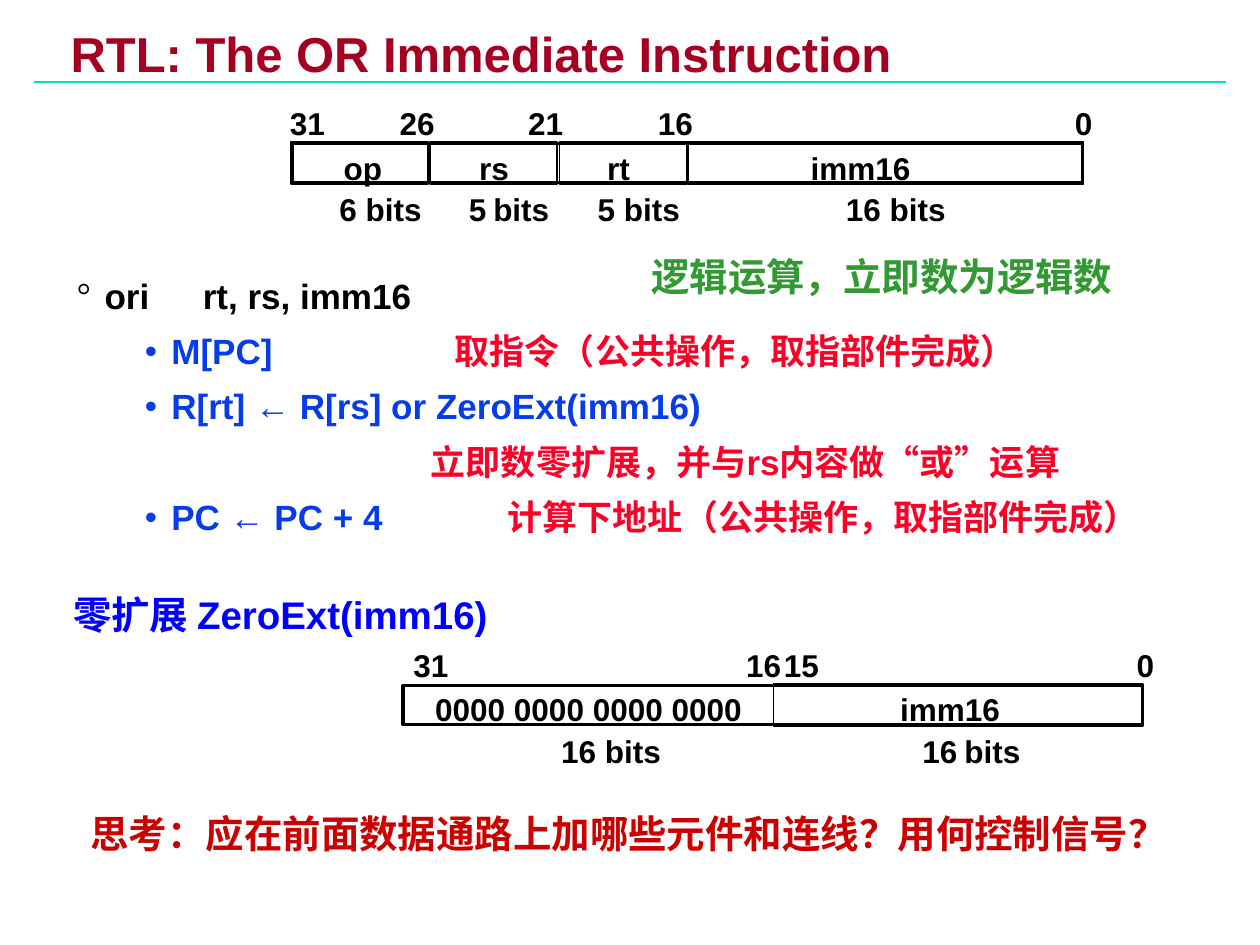
from lxml import etree
from pptx import Presentation
from pptx.dml.color import RGBColor
from pptx.enum import shapes, text
from pptx.oxml.ns import qn
from pptx.util import Inches, Pt

BLACK = RGBColor(0, 0, 0)
CRIMSON = RGBColor(0xA5, 0x00, 0x21)
TEAL = RGBColor(0x00, 0xDF, 0xCA)
BLUE = RGBColor(0x06, 0x3D, 0xE8)
PURE_BLUE = RGBColor(0, 0, 0xFF)
RED = RGBColor(0xFC, 0x01, 0x28)
DARK_RED = RGBColor(0xCC, 0, 0)
GREEN = RGBColor(0x33, 0x99, 0x33)
SANS, SERIF = "Arial", "Times New Roman"

# Content: headings as (text, left, top, width, height, size, font, colour)
TITLE = ("RTL: The OR Immediate Instruction", 0.49, 0.22, 7.35, 0.46, 28, SANS, CRIMSON)
NOTE = ("逻辑运算，立即数为逻辑数", 5.07, 1.96, 4.07, 0.47, 22, SERIF, GREEN)
EXTENSION = ("零扩展 ZeroExt(imm16)", 0.39, 4.64, 3.67, 0.47, 22, SANS, PURE_BLUE)
QUESTION = ("思考：应在前面数据通路上加哪些元件和连线？用何控制信号？",
            0.62, 6.38, 9.38, 0.47, 22, SANS, DARK_RED)

# Steps: bullet, left margin, hanging indent, tab stop, coloured runs
STEPS = [
    ("°", 0.22, 0.22, 1, [("ori\trt, rs, imm16", BLACK)]),
    ("•", 0.75, 0.21, 3, [("M[PC]\t", BLUE), ("取指令（公共操作，取指部件完成）", RED)]),
    ("•", 0.75, 0.21, None, [("R[rt] ← R[rs] or ZeroExt(imm16)", BLUE)]),
    (None, 2.81, 0, None, [("立即数零扩展，并与rs内容做“或”运算", RED)]),
    ("•", 0.75, 0.21, 3.42, [("PC ← PC + 4\t", BLUE),
                             ("计算下地址（公共操作，取指部件完成）", RED)]),
]

# Word layouts: frame, inner cells (left, width), labels (text, centre);
# a "|" in a caption marks a narrow space
INSTRUCTION = {
    "top": 1.14, "frame": (2.32, 6.27),
    "cells": [(2.31, 1.09), (3.41, 1.01), (4.44, 1.01), (5.46, 3.14)],
    "bits": [("31", 2.44), ("26", 3.31), ("21", 4.33), ("16", 5.36), ("0", 8.6)],
    "fields": [("op", 2.88), ("rs", 3.92), ("rt", 4.91), ("imm16", 6.83)],
    "captions": [("6 bits", 3.02), ("5|bits", 4.04), ("5 bits", 5.07), ("16 bits", 7.11)],
}
EXTENDED = {
    "top": 5.44, "frame": (3.2, 5.87),
    "cells": [(6.14, 2.93)],
    "bits": [("31", 3.42), ("16", 6.06), ("15", 6.36), ("0", 9.09)],
    "fields": [("0000 0000 0000 0000", 4.67), ("imm16", 7.54)],
    "captions": [("16 bits", 4.85), ("16|bits", 7.71)],
}
LABEL_ROWS = {"bits": -0.36, "fields": -0.01, "captions": 0.32}
LETTER_WIDTHS = {" ": 0.07, "|": 0.06, "i": 0.07, "t": 0.09, "r": 0.1,
                 "m": 0.22, "b": 0.16, "o": 0.16, "p": 0.16}


def add_span(para, words, size, font, colour, bold=True):
    span = para.add_run()
    span.text = words
    span.font.size = Pt(size)
    span.font.name = font
    span.font.bold = bold
    span.font.color.rgb = colour


def add_box(parent, left, top, width, height, insets=(0.1, 0.05)):
    box = parent.shapes.add_textbox(*map(Inches, (left, top, width, height)))
    frame = box.text_frame
    frame.word_wrap = True
    frame.margin_left = frame.margin_right = Inches(insets[0])
    frame.margin_top = frame.margin_bottom = Inches(insets[1])
    return frame


def add_heading(parent, heading, **options):
    words, left, top, width, height, size, font, colour = heading
    para = add_box(parent, left, top, width, height, **options).paragraphs[0]
    add_span(para, words, size, font, colour)
    return para


def add_cell(parent, left, top, width, height, line_width):
    cell = parent.shapes.add_shape(
        shapes.MSO_SHAPE.RECTANGLE, *map(Inches, (left, top, width, height)))
    cell.shadow.inherit = False
    cell.fill.background()
    cell.line.color.rgb = BLACK
    cell.line.width = Pt(line_width)


def add_label(parent, words, centre, top):
    width = 0.24 + sum(LETTER_WIDTHS.get(letter, 0.14) for letter in words)
    frame = add_box(parent, centre - width / 2, top, width, 0.4)
    frame.word_wrap = False
    frame.auto_size = text.MSO_AUTO_SIZE.SHAPE_TO_FIT_TEXT
    para = frame.paragraphs[0]
    para.alignment = text.PP_ALIGN.CENTER
    first, narrow_space, rest = words.partition("|")
    add_span(para, first, 18, SANS, BLACK)
    if narrow_space:
        add_span(para, " ", 16, SERIF, BLACK, bold=False)
        add_span(para, rest, 18, SANS, BLACK)


def add_word_layout(page, layout):
    group = page.shapes.add_group_shape()
    top = layout["top"]
    left, width = layout["frame"]
    add_cell(group, left, top, width, 0.31, 2)
    for left, width in layout["cells"]:
        add_cell(group, left, top - 0.01, width, 0.33, 1)
    for row, offset in LABEL_ROWS.items():
        for words, centre in layout[row]:
            add_label(group, words, centre, top + offset)
    return group


def format_step(para, bullet, margin, hanging, tab, colour):
    props = para._p.get_or_add_pPr()
    props.set("marL", str(Inches(margin)))
    props.set("indent", str(-Inches(hanging)))
    if bullet:
        tint = etree.SubElement(props, qn("a:buClr"))
        etree.SubElement(tint, qn("a:srgbClr"), val=str(colour))
        etree.SubElement(props, qn("a:buFont"), typeface=SERIF if bullet == "°" else SANS)
        etree.SubElement(props, qn("a:buChar"), char=bullet)
    else:
        etree.SubElement(props, qn("a:buNone"))
    if tab:
        stops = etree.SubElement(props, qn("a:tabLst"))
        etree.SubElement(stops, qn("a:tab"), pos=str(Inches(tab)), algn="l")
    para.line_spacing = 0.95


def add_steps(page):
    frame = add_box(page, 0.54, 2.17, 8.96, 2.64, insets=(0.07, 0.03))
    for number, (bullet, margin, hanging, tab, spans) in enumerate(STEPS):
        para = frame.add_paragraph() if number else frame.paragraphs[0]
        format_step(para, bullet, margin, hanging, tab, spans[0][1])
        if number:
            para.space_before = Pt(8.8)
            para.level = 1
        for words, colour in spans:
            add_span(para, words, 20, SANS, colour)


def main():
    deck = Presentation()
    deck.slide_width, deck.slide_height = Inches(10), Inches(7.5)
    page = deck.slides.add_slide(deck.slide_layouts[6])

    # Title and its rule
    rule = page.shapes.add_connector(
        shapes.MSO_CONNECTOR.STRAIGHT, *map(Inches, (0.27, 0.65, 9.73, 0.65)))
    rule.line.color.rgb = TEAL
    rule.line.width = Pt(1.5)
    etree.SubElement(rule._element.spPr, qn("a:effectLst"))
    add_heading(page, TITLE, insets=(0.07, 0.03)).line_spacing = 0.87

    # Instruction steps
    add_steps(page)

    # Zero extension
    extension = add_word_layout(page, EXTENDED)
    add_heading(extension, EXTENSION).alignment = text.PP_ALIGN.CENTER

    # Closing question and side note
    add_heading(page, QUESTION)
    add_heading(page, NOTE)

    # Instruction format
    add_word_layout(page, INSTRUCTION)

    deck.save("out.pptx")


if __name__ == "__main__":
    main()
